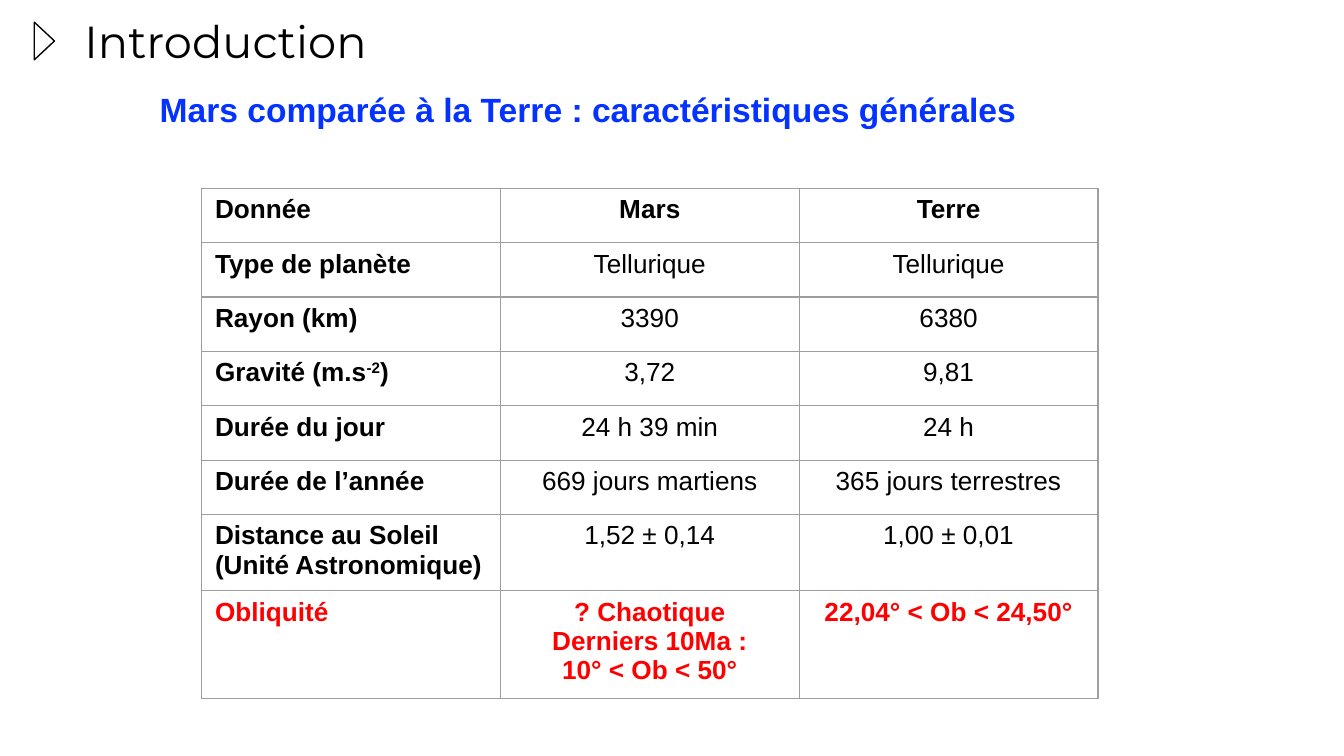
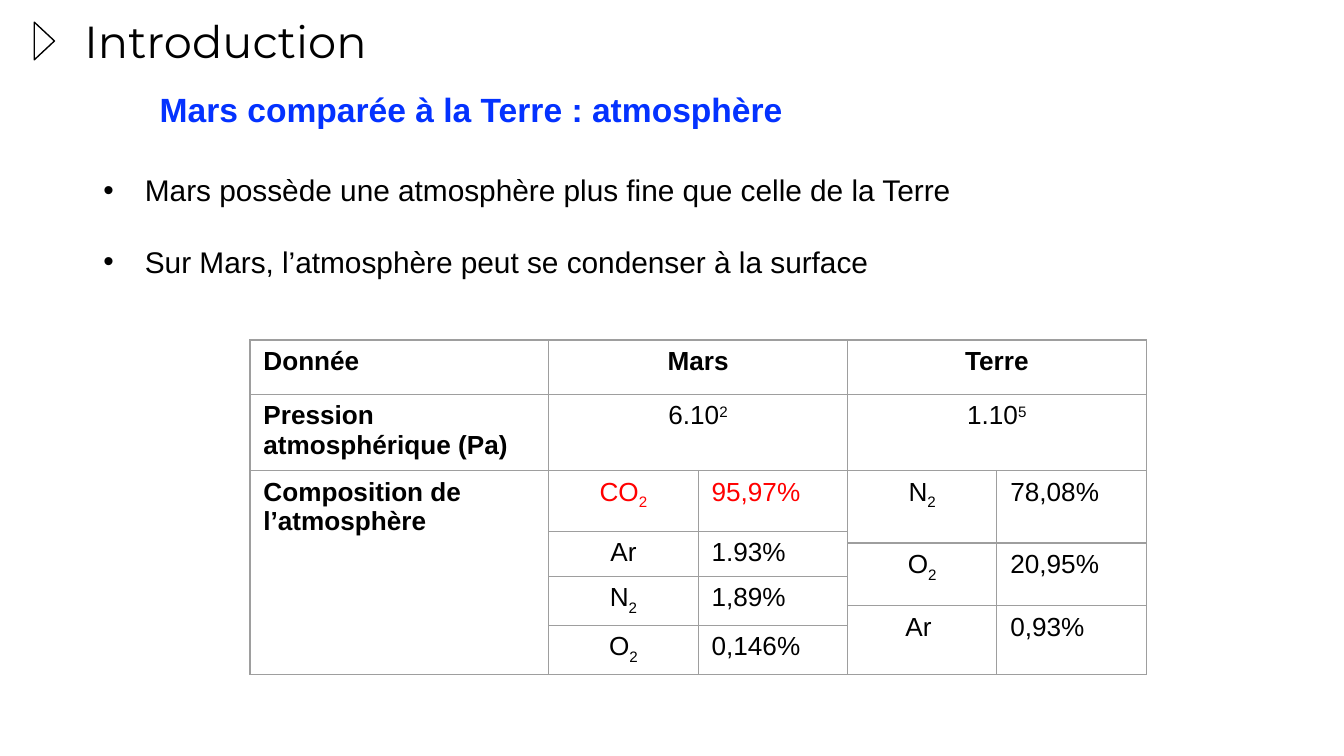
from dataclasses import dataclass

from lxml import etree
from pptx import Presentation
from pptx.dml.color import RGBColor
from pptx.enum.shapes import MSO_SHAPE
from pptx.enum.text import MSO_ANCHOR, PP_ALIGN
from pptx.oxml.ns import qn
from pptx.util import Inches, Pt


@dataclass(frozen=True)
class Theme:
    black: RGBColor = RGBColor(0x00, 0x00, 0x00)
    white: RGBColor = RGBColor(0xFF, 0xFF, 0xFF)
    blue: RGBColor = RGBColor(0x04, 0x32, 0xFF)
    red: RGBColor = RGBColor(0xFF, 0x00, 0x00)
    grid: str = "9E9E9E"
    title_font: str = "Montserrat"
    body_font: str = "Arial"
    title_size: int = 24
    subtitle_size: int = 18
    bullet_size: int = 16
    table_size: int = 14
    line_width: float = 0.75


@dataclass
class CellText:
    text: str
    row: int
    column: int
    row_span: int = 1
    column_span: int = 1
    bold: bool = False
    red: bool = False
    centred: bool = True


class Deck:
    def __init__(self, theme):
        self.theme = theme
        self.presentation = Presentation()
        self.presentation.slide_width = Inches(10)
        self.presentation.slide_height = Inches(10 * 9 / 16)
        self.slide = None

    def add_slide(self, title, subtitle):
        theme = self.theme
        self.slide = self.presentation.slides.add_slide(self.presentation.slide_layouts[6])
        self.add_marker()
        self.add_heading(title, (0.53, 0, 9.32, 0.63), theme.title_font, theme.title_size, theme.black)
        paragraph = self.add_heading(subtitle, (0.97, 0.52, 8.66, 0.6), theme.body_font,
                                     theme.subtitle_size, theme.blue, bold=True)
        paragraph.line_spacing = 1.15
        self.indent(paragraph, 0.12, 0)

    def add_marker(self):
        marker = self.slide.shapes.add_shape(
            MSO_SHAPE.ISOSCELES_TRIANGLE, Inches(0.19), Inches(0.23), Inches(0.28), Inches(0.15))
        marker.rotation = 90
        marker.shadow.inherit = False
        marker.fill.solid()
        marker.fill.fore_color.rgb = self.theme.white
        marker.line.color.rgb = self.theme.black
        marker.line.width = Pt(self.theme.line_width)

    def add_text_box(self, box):
        text_frame = self.slide.shapes.add_textbox(*map(Inches, box)).text_frame
        text_frame.word_wrap = True
        return text_frame

    def add_heading(self, text, box, font_name, size, colour, bold=False):
        text_frame = self.add_text_box(box)
        text_frame.margin_top = text_frame.margin_bottom = Inches(0.1)
        text_frame.vertical_anchor = MSO_ANCHOR.TOP
        text_frame.text = text
        paragraph = text_frame.paragraphs[0]
        self.format_font(paragraph.runs[0].font, font_name, size, colour, bold)
        return paragraph

    def add_bullets(self, lines, box):
        theme = self.theme
        text_frame = self.add_text_box(box)
        text_frame.text = "\n".join(lines)
        for index, paragraph in enumerate(text_frame.paragraphs):
            properties = self.indent(paragraph, 0.31, -0.31)
            etree.SubElement(properties, qn("a:buFont"), typeface=theme.body_font)
            etree.SubElement(properties, qn("a:buChar"), char="•")
            if index:
                paragraph.space_before = Pt(19)
            self.format_font(paragraph.runs[0].font, theme.body_font, theme.bullet_size, theme.black)

    def add_table(self, box, column_widths, row_heights, cell_texts):
        """Rows lower than their text grow when drawn."""
        frame = self.slide.shapes.add_table(
            len(row_heights), len(column_widths), *map(Inches, box))
        table = frame.table
        table.first_row = table.horz_banding = False
        for column, width in zip(table.columns, column_widths):
            column.width = Inches(width)
        for row, height in zip(table.rows, row_heights):
            row.height = Inches(height)
        frame.height = Inches(box[3])
        for cell in table.iter_cells():
            cell.fill.background()
            self.add_borders(cell)
        for entry in cell_texts:
            cell = table.cell(entry.row, entry.column)
            if entry.row_span * entry.column_span > 1:
                cell.merge(table.cell(entry.row + entry.row_span - 1,
                                      entry.column + entry.column_span - 1))
            self.fill_cell(cell, entry)

    def fill_cell(self, cell, entry):
        """Write the text; a piece between bars is raised by ^ or lowered by _."""
        theme = self.theme
        colour = theme.red if entry.red else theme.black
        for index, line in enumerate(entry.text.split("\n")):
            text_frame = cell.text_frame
            paragraph = text_frame.add_paragraph() if index else text_frame.paragraphs[0]
            paragraph.alignment = PP_ALIGN.CENTER if entry.centred else PP_ALIGN.LEFT
            for piece in line.split("|"):
                run = paragraph.add_run()
                run.text = piece.lstrip("^_")
                self.format_font(run.font, theme.body_font, theme.table_size, colour, entry.bold)
                baseline = {"^": "30000", "_": "-25000"}.get(piece[:1])
                if baseline:
                    run.font._element.set("baseline", baseline)

    def add_borders(self, cell):
        properties = cell._tc.get_or_add_tcPr()
        for index, side in enumerate(("lnL", "lnR", "lnT", "lnB")):
            border = etree.Element(qn(f"a:{side}"), w=str(Pt(self.theme.line_width)))
            fill = etree.SubElement(border, qn("a:solidFill"))
            etree.SubElement(fill, qn("a:srgbClr"), val=self.theme.grid)
            properties.insert(index, border)

    @staticmethod
    def indent(paragraph, margin, first_line):
        properties = paragraph._p.get_or_add_pPr()
        properties.set("marL", str(Inches(margin)))
        properties.set("indent", str(Inches(first_line)))
        return properties

    @staticmethod
    def format_font(font, name, size, colour, bold=False):
        font.name = name
        font.size = Pt(size)
        font.bold = bold
        font.color.rgb = colour


TITLE = "Introduction"
TABLE_WIDTH = 6.67
ROW_HEIGHT = 2.43 / 6

GENERAL_ROWS = [
    ("Donnée", "Mars", "Terre"),
    ("Type de planète", "Tellurique", "Tellurique"),
    ("Rayon (km)", "3390", "6380"),
    ("Gravité (m.s|^-2|)", "3,72", "9,81"),
    ("Durée du jour", "24 h 39 min", "24 h"),
    ("Durée de l’année", "669 jours martiens", "365 jours terrestres"),
    ("Distance au Soleil (Unité Astronomique)", "1,52 ± 0,14", "1,00 ± 0,01"),
    ("Obliquité", "? Chaotique\nDerniers 10Ma :\n10° < Ob < 50°", "22,04° < Ob < 24,50°"),
]

ATMOSPHERE_ROWS = [
    ("Donnée", "Mars", "Terre"),
    ("Pression atmosphérique (Pa)", "6.10|^2", "1.10|^5"),
]

# Gas, share, first table row, rows covered
MARS_GASES = [
    ("CO|_2", "95,97%", 2, 1),
    ("Ar", "1.93%", 3, 2),
    ("N|_2", "1,89%", 5, 2),
    ("O|_2", "0,146%", 7, 1),
]
EARTH_GASES = [
    ("N|_2", "78,08%", 2, 2),
    ("O|_2", "20,95%", 4, 2),
    ("Ar ", "0,93%", 6, 2),
]


def row_cells(rows, planet_span=1):
    """Turn rows of label, Mars and Terre into cells, with bold header and labels."""
    cells = []
    for row, texts in enumerate(rows):
        red = texts[0] == "Obliquité"
        for index, text in enumerate(texts):
            column = 1 + (index - 1) * planet_span if index else 0
            cells.append(CellText(text, row, column, column_span=planet_span if index else 1,
                                  bold=red or row == 0 or index == 0, red=red,
                                  centred=index > 0))
    return cells


def gas_cells(gases, column):
    cells = []
    for gas, share, row, span in gases:
        red = gas.startswith("CO")
        cells.append(CellText(gas, row, column, span, red=red))
        cells.append(CellText(share, row, column + 1, span, red=red, centred=False))
    return cells


def add_general_slide(deck):
    deck.add_slide(TITLE, "Mars comparée à la Terre : caractéristiques générales")
    deck.add_table((1.5, 1.4, TABLE_WIDTH, 3.8), [TABLE_WIDTH / 3] * 3,
                   [ROW_HEIGHT] * 6 + [0.28, 0], row_cells(GENERAL_ROWS))


def add_atmosphere_slide(deck):
    deck.add_slide(TITLE, "Mars comparée à la Terre : atmosphère")
    composition = CellText("Composition de l’atmosphère", 2, 0, row_span=6,
                           bold=True, centred=False)
    cells = row_cells(ATMOSPHERE_ROWS, planet_span=2) + [composition]
    cells += gas_cells(MARS_GASES, 1) + gas_cells(EARTH_GASES, 3)
    deck.add_table((1.86, 2.53, TABLE_WIDTH, 2.31),
                   [TABLE_WIDTH / 3] + [TABLE_WIDTH / 6] * 4,
                   [ROW_HEIGHT] * 2 + [0, 0, 0.22, 0.22, 0, 0.26], cells)
    deck.add_bullets(["Mars possède une atmosphère plus fine que celle de la Terre",
                      "Sur Mars, l’atmosphère peut se condenser à la surface"],
                     (0.67, 1.23, 6.99, 0.91))


def main():
    deck = Deck(Theme())
    add_general_slide(deck)
    add_atmosphere_slide(deck)
    deck.presentation.save("out.pptx")


if __name__ == "__main__":
    main()
